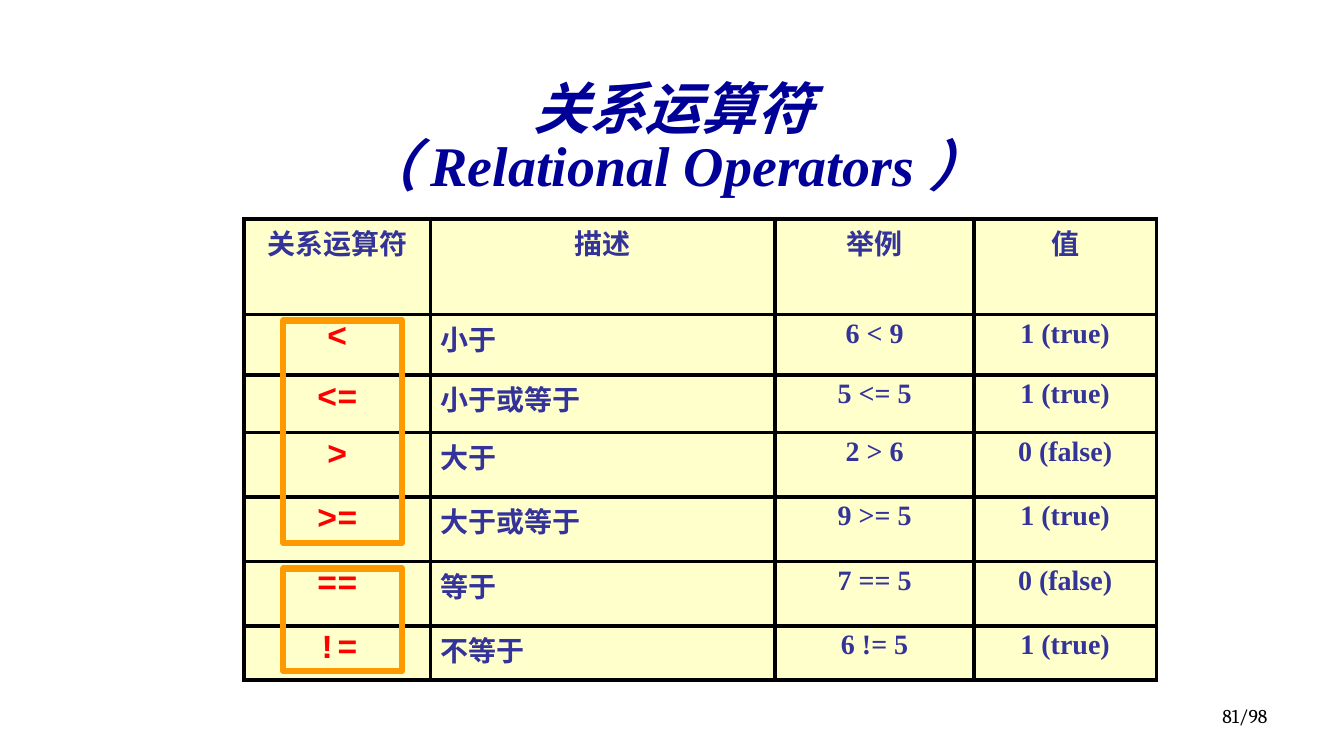
from lxml.etree import SubElement, fromstring
from pptx import Presentation
from pptx.dml.color import RGBColor
from pptx.enum.shapes import MSO_SHAPE
from pptx.enum.text import MSO_ANCHOR, MSO_AUTO_SIZE, PP_ALIGN
from pptx.oxml.ns import nsdecls, qn
from pptx.util import Inches, Pt

COLORS = {"title": "000099", "text": "333399", "code": "FF0000",
          "cell": "FFFFCC", "grid": "000000", "frame": "FF9900"}
STYLES = {
    "title": {"name": "Times New Roman", "size": Pt(40), "bold": True, "italic": True},
    "text": {"name": "Times New Roman", "size": Pt(20), "bold": True},
    "code": {"name": "Courier New", "size": Pt(24), "bold": True},
    "grid": {"name": "Cambria", "size": Pt(14)},
}
TITLE = "关系运算符\v（ Relational Operators ）"
ROWS = [
    ("关系运算符", "描述", "举例", "值"),
    ("<", "小于", "6 < 9", "1 (true)"),
    ("<=", "小于或等于", "5 <= 5", "1 (true)"),
    (">", "大于", "2 > 6", "0 (false)"),
    (">=", "大于或等于", "9 >= 5", "1 (true)"),
    ("==", "等于", "7 == 5", "0 (false)"),
    ("!=", "不等于", "6 != 5", "1 (true)"),
]
WIDTHS = [1.85, 3.42, 1.97, 1.81]
HEIGHTS = [0.95, 0.6, 0.57, 0.64, 0.64, 0.64, 0.54]


def color(key):
    return RGBColor.from_string(COLORS[key])


def write(frame, text, style, align, spacing=1.0):
    frame.text = text
    para = frame.paragraphs[0]
    para.alignment, para.line_spacing = align, spacing
    for run in para.runs:
        for name, value in STYLES[style].items():
            setattr(run.font, name, value)
        run.font.color.rgb = color(style)


def place(shape, box):
    for name, value in zip(("left", "top", "width", "height"), box):
        setattr(shape, name, Inches(value))


def add_title(slide, box):
    title = slide.shapes.title
    place(title, box)
    frame = title.text_frame
    frame.auto_size = MSO_AUTO_SIZE.NONE
    frame.vertical_anchor = MSO_ANCHOR.MIDDLE
    write(frame, TITLE, "title", PP_ALIGN.CENTER, 0.85)
    # Text shadow
    for fill in title._element.iter(qn("a:solidFill")):
        fill.addnext(fromstring(
            f'<a:effectLst {nsdecls("a")}><a:outerShdw dist="35921" dir="2700000">'
            '<a:srgbClr val="000000"/></a:outerShdw></a:effectLst>'))


def add_border(cell):
    props = cell._tc.get_or_add_tcPr()
    for side in ("lnL", "lnR", "lnT", "lnB"):
        line = SubElement(props, qn(f"a:{side}"), w=str(Pt(3)))
        fill = SubElement(line, qn("a:solidFill"))
        SubElement(fill, qn("a:srgbClr"), val=COLORS["grid"])


def add_grid(slide, box):
    area = [Inches(value) for value in box]
    table = slide.shapes.add_table(len(ROWS), len(WIDTHS), *area).table
    for col, width in zip(table.columns, WIDTHS):
        col.width = Inches(width)
    for row, height in zip(table.rows, HEIGHTS):
        row.height = Inches(height)
    for i, texts in enumerate(ROWS):
        for j, text in enumerate(texts):
            cell = table.cell(i, j)
            add_border(cell)
            cell.fill.solid()
            cell.fill.fore_color.rgb = color("cell")
            style = "code" if i and j == 0 else "text"
            align = PP_ALIGN.LEFT if i and j == 1 else PP_ALIGN.CENTER
            write(cell.text_frame, text, style, align, 0.95)


def add_frame(slide, box):
    area = [Inches(value) for value in box]
    frame = slide.shapes.add_shape(MSO_SHAPE.RECTANGLE, *area)
    frame.shadow.inherit = False
    frame.fill.background()
    frame.line.color.rgb = color("frame")
    frame.line.width = Pt(4.5)


def add_page(slide, box):
    area = [Inches(value) for value in box]
    frame = slide.shapes.add_textbox(*area).text_frame
    frame.word_wrap = True
    write(frame, "81/98", "grid", PP_ALIGN.RIGHT)


def main():
    deck = Presentation()
    deck.slide_width, deck.slide_height = Inches(13.33), Inches(7.5)
    slide = deck.slides.add_slide(deck.slide_layouts[5])
    add_page(slide, (9.56, 6.93, 3.11, 0.52))
    add_title(slide, (2.41, 0.94, 8.53, 0.92))
    left, top = 2.42, 2.17
    add_grid(slide, (left, top, sum(WIDTHS), sum(HEIGHTS)))
    # Frames around the ordering and equality operators
    for drop, height in ((1.01, 2.21), (3.47, 1.02)):
        add_frame(slide, (left + 0.39, top + drop, 1.18, height))
    deck.save("out.pptx")


if __name__ == "__main__":
    main()
